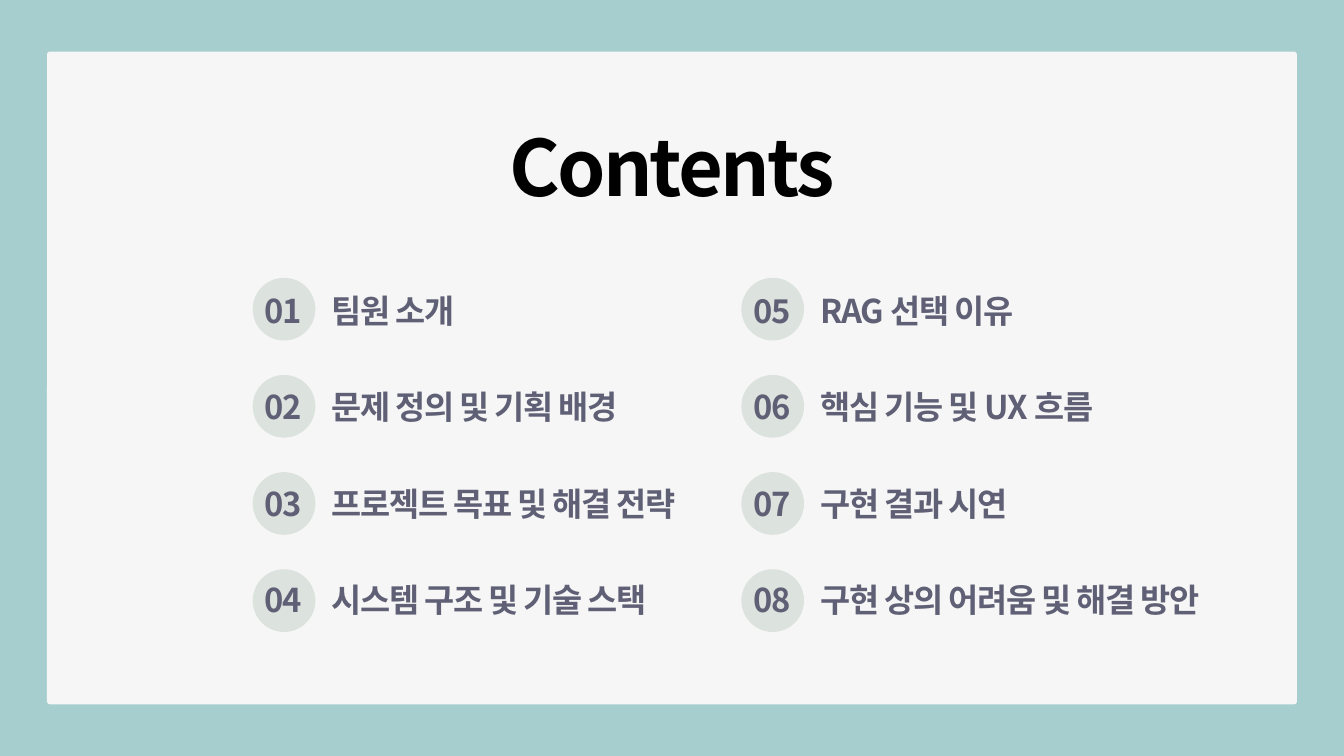
import lxml.etree
import pptx
import pptx.dml.color
import pptx.enum.shapes
import pptx.enum.text
import pptx.oxml.ns
import pptx.util

Pt = pptx.util.Pt
FONT = "Noto Sans CJK KR"
COLUMNS = [
    ["01\t팀원 소개", "02\t문제 정의 및 기획 배경",
     "03\t프로젝트 목표 및 해결 전략", "04\t시스템 구조 및 기술 스택"],
    ["05\tRAG 선택 이유", "06\t핵심 기능 및 UX 흐름",
     "07\t구현 결과 시연", "08\t구현 상의 어려움 및 해결 방안"],
]


def set_fill(fill, color):
    """Fill with a solid hex colour."""
    fill.solid()
    fill.fore_color.rgb = pptx.dml.color.RGBColor.from_string(color)


def add_plain_shape(slide, kind, box, color):
    """Add a filled shape without line or shadow in the box."""
    shape = slide.shapes.add_shape(kind, *map(Pt, box))
    shape.shadow.inherit = False
    shape.line.fill.background()
    set_fill(shape.fill, color)
    return shape


def add_child(parent, tag, **attributes):
    """Append a DrawingML element and return it."""
    return lxml.etree.SubElement(parent, pptx.oxml.ns.qn(tag), attributes)


def format_runs(paragraph, size, color, tracking):
    """Give every run of a paragraph its font, colour and tracking."""
    for run in paragraph.runs:
        run.font.size = Pt(size)
        run.font.bold = True
        set_fill(run.font.fill, color)
        run.font.name = FONT
        properties = run.font._element
        add_child(properties, "a:ea", typeface=FONT)
        properties.set("spc", str(round(tracking * 100)))


def place_placeholder(placeholder, box):
    """Move a placeholder to the box, in front, without insets."""
    placeholder.left, placeholder.top, placeholder.width, placeholder.height = map(Pt, box)
    element = placeholder._element
    element.getparent().append(element)
    frame = placeholder.text_frame
    frame.margin_left = frame.margin_right = frame.margin_top = frame.margin_bottom = 0
    frame.word_wrap = True
    frame.auto_size = pptx.enum.text.MSO_AUTO_SIZE.NONE
    frame.vertical_anchor = pptx.enum.text.MSO_ANCHOR.TOP
    return frame


def build_panel(slide, box):
    """Draw the light panel with slightly rounded corners."""
    panel = add_plain_shape(
        slide, pptx.enum.shapes.MSO_SHAPE.ROUNDED_RECTANGLE, box, "F6F6F6")
    panel.adjustments[0] = 3 / box[3]


def build_title(slide, box):
    """Set the centred slide title."""
    frame = place_placeholder(slide.shapes.title, box)
    frame.text = "Contents"
    paragraph = frame.paragraphs[0]
    paragraph.alignment = pptx.enum.text.PP_ALIGN.CENTER
    paragraph.line_spacing = Pt(98.8)
    format_runs(paragraph, 83, "000000", -3)


def build_column(slide, placeholder, items, box):
    """Draw one column of numbered contents over its discs."""
    left, top, width, height = box
    diameter, disc_pitch, text_pitch, line_height = 67.2, 104.1, 103.2, 41.7
    for row in range(len(items)):
        disc_box = (left, top + row * disc_pitch, diameter, diameter)
        add_plain_shape(slide, pptx.enum.shapes.MSO_SHAPE.OVAL, disc_box, "DCE2DE")
    frame = place_placeholder(
        placeholder, (left + 13, top + 14.2, width - 13, height - 14.2))
    frame.text = "\n".join(items)
    for row, paragraph in enumerate(frame.paragraphs):
        label = items[row].split("\t")[1]
        tab_position = 56 if label[0].isascii() else 65
        properties = paragraph._p.get_or_add_pPr()
        properties.set("marL", "0")
        properties.set("indent", "0")
        add_child(properties, "a:buNone")
        tabs = add_child(properties, "a:tabLst")
        add_child(tabs, "a:tab", pos=str(Pt(tab_position)), algn="l")
        paragraph.alignment = pptx.enum.text.PP_ALIGN.LEFT
        paragraph.line_spacing = Pt(line_height)
        paragraph.space_before = Pt(text_pitch - line_height if row else 0)
        paragraph.space_after = Pt(0)
        format_runs(paragraph, 35.1, "5F6075", -1.3)


def main():
    """Build the contents slide and save it."""
    presentation = pptx.Presentation()
    presentation.slide_width, presentation.slide_height = Pt(1440), Pt(810)
    slide = presentation.slides.add_slide(presentation.slide_layouts[3])
    set_fill(slide.background.fill, "A7CECF")
    bodies = [shape for shape in slide.placeholders if shape.placeholder_format.idx > 0]
    build_panel(slide, (50.4, 55.4, 1339.2, 699.2))
    build_title(slide, (488, 128.2, 464, 100.8))
    for column, (placeholder, items) in enumerate(zip(bodies, COLUMNS)):
        build_column(slide, placeholder, items, (270.7 + column * 523.6, 297.6, 506, 380))
    presentation.save("out.pptx")


if __name__ == "__main__":
    main()
